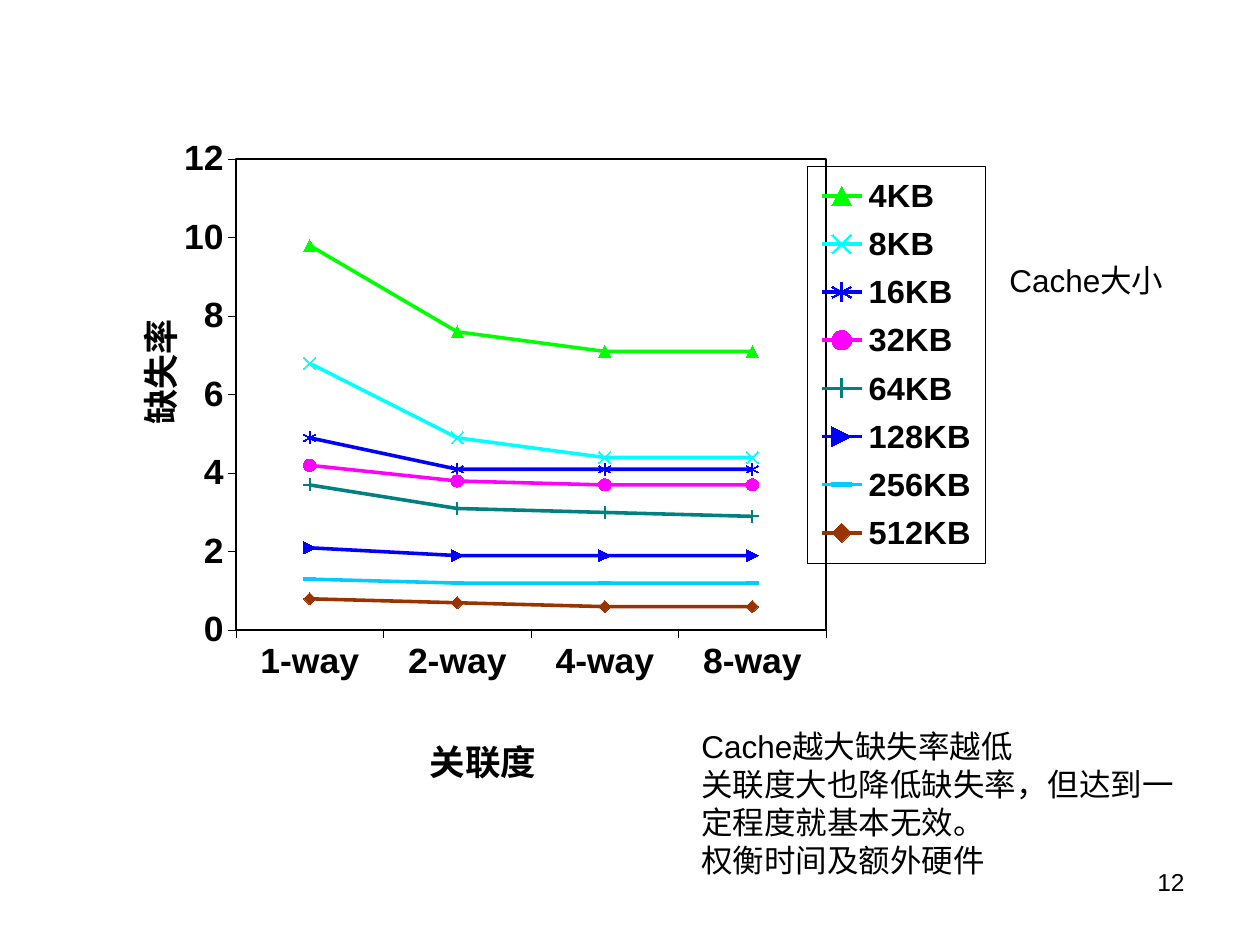
from dataclasses import dataclass

from lxml.etree import SubElement
from pptx import Presentation
from pptx.chart.data import CategoryChartData as ChartData
from pptx.dml.color import RGBColor as RGB
from pptx.enum.chart import XL_CHART_TYPE as Kind
from pptx.enum.chart import XL_LEGEND_POSITION as Side
from pptx.enum.chart import XL_MARKER_STYLE as Mark
from pptx.enum.chart import XL_TICK_MARK as Tick
from pptx.enum.text import MSO_AUTO_SIZE as Fit
from pptx.enum.text import PP_ALIGN as Align
from pptx.oxml import parse_xml
from pptx.oxml.ns import nsdecls, qn
from pptx.util import Emu, Pt

PIXEL = 914400 // 126


@dataclass(frozen=True)
class Theme:
    """Colours, type sizes and line widths."""
    font: str = "Arial"
    ink: str = "000000"
    body: float = 18
    page: float = 14
    axis: float = 20.3
    key: float = 18.6
    hair: float = 0.26
    frame: float = 1
    curve: float = 2.05


def px(*vals):
    """Turn pixels into EMU."""
    return [Emu(val * PIXEL) for val in vals]


def place(node, before, **spots):
    """Give a chart part a manual layout, after the named child."""
    for old in node.findall(qn("c:layout")):
        node.remove(old)
    layout = parse_xml(f"<c:layout {nsdecls('c')}/>")
    manual = SubElement(layout, qn("c:manualLayout"))
    for tag, val in spots.items():
        SubElement(manual, qn(f"c:{tag}")).set("val", str(val))
    prior = node.find(qn(before)) if before else None
    node.insert(0 if prior is None else node.index(prior) + 1, layout)


def outline(color, width):
    """Make unfilled shape properties with a solid outline."""
    return parse_xml(
        f'<c:spPr {nsdecls("c", "a")}><a:noFill/><a:ln w="{Pt(width)}">'
        f'<a:solidFill><a:srgbClr val="{color}"/></a:solidFill></a:ln></c:spPr>')


class Deck:
    """Holds the theme and the current slide."""

    def __init__(self, theme, wide, high):
        self.theme = theme
        self.file = Presentation()
        self.file.slide_width, self.file.slide_height = px(wide, high)
        self.slide = self.file.slides.add_slide(self.file.slide_layouts[6])

    def style(self, font, size, bold=False):
        """Apply the theme font and ink."""
        font.name, font.size, font.bold = self.theme.font, Pt(size), bold
        font.color.rgb = RGB.from_string(self.theme.ink)

    def text(self, box, lines, size, align=Align.LEFT, fit=Fit.NONE):
        """Add a wrapped text box with one paragraph a line."""
        frame = self.slide.shapes.add_textbox(*px(*box)).text_frame
        frame.word_wrap, frame.auto_size = True, fit
        for num, line in enumerate(lines):
            para = frame.add_paragraph() if num else frame.paragraphs[0]
            para.alignment = align
            run = para.add_run()
            run.text = line
            self.style(run.font, size)

    def axis(self, axis, title, spot, turn=0):
        """Format one axis and its placed title."""
        look = self.theme
        axis.has_major_gridlines = False
        axis.major_tick_mark, axis.minor_tick_mark = Tick.OUTSIDE, Tick.NONE
        axis.format.line.color.rgb = RGB.from_string(look.ink)
        axis.format.line.width = Pt(look.hair)
        self.style(axis.tick_labels.font, look.axis, True)
        frame = axis.axis_title.text_frame
        run = frame.paragraphs[0].add_run()
        run.text = title
        self.style(run.font, look.axis, True)
        body = axis.axis_title.element.find(".//" + qn("a:bodyPr"))
        body.set("rot", str(turn * 60000))
        body.set("vert", "horz")
        place(axis.axis_title.element, "c:tx", xMode="edge", yMode="edge",
              x=spot[0], y=spot[1])

    def curve(self, plot, color, mark):
        """Colour one series and its markers."""
        tint = RGB.from_string(color)
        plot.smooth = False
        plot.format.line.color.rgb = tint
        plot.format.line.width = Pt(self.theme.curve)
        plot.marker.style, plot.marker.size = mark, 7
        look = plot.marker.format
        look.line.color.rgb = tint
        if mark in (Mark.TRIANGLE, Mark.CIRCLE, Mark.DIAMOND):
            look.fill.solid()
            look.fill.fore_color.rgb = tint
        else:
            look.fill.background()

    def legend(self, chart, spot):
        """Add a framed legend at a fixed spot."""
        chart.has_legend = True
        chart.legend.position = Side.RIGHT
        chart.legend.include_in_layout = False
        self.style(chart.legend.font, self.theme.key, True)
        node = chart.element.find(".//" + qn("c:legend"))
        place(node, "c:legendPos", xMode="edge", yMode="edge", **spot)
        node.find(qn("c:overlay")).addnext(
            outline(self.theme.ink, self.theme.hair))

    def lines(self, box, cats, rows):
        """Add the line chart."""
        data = ChartData()
        data.categories = cats
        for name, vals, _, _ in rows:
            data.add_series(name, vals)
        chart = self.slide.shapes.add_chart(
            Kind.LINE_MARKERS, *px(*box), data).chart
        chart.has_title = False
        self.style(chart.font, self.theme.axis, True)
        chart.plots[0].vary_by_categories = False
        for plot, (_, _, color, mark) in zip(chart.plots[0].series, rows):
            self.curve(plot, color, mark)
        rate = chart.value_axis
        rate.minimum_scale, rate.maximum_scale, rate.major_unit = 0, 12, 2
        self.axis(chart.category_axis, "关联度", (0.36, 0.91))
        self.axis(rate, "缺失率", (0.04, 0.3), -90)
        self.legend(chart, dict(x=0.77, y=0.08, w=0.19, h=0.59))
        area = chart.element.find(".//" + qn("c:plotArea"))
        place(area, None, layoutTarget="inner", xMode="edge", yMode="edge",
              x=0.16, y=0.07, w=0.63, h=0.7)
        area.append(outline(self.theme.ink, self.theme.frame))


WAYS = ["1-way", "2-way", "4-way", "8-way"]
SIZES = [
    ("4KB", (9.8, 7.6, 7.1, 7.1), "00FF00", Mark.TRIANGLE),
    ("8KB", (6.8, 4.9, 4.4, 4.4), "00FFFF", Mark.X),
    ("16KB", (4.9, 4.1, 4.1, 4.1), "0000FF", Mark.STAR),
    ("32KB", (4.2, 3.8, 3.7, 3.7), "FF00FF", Mark.CIRCLE),
    ("64KB", (3.7, 3.1, 3, 2.9), "008080", Mark.PLUS),
    ("128KB", (2.1, 1.9, 1.9, 1.9), "0000FF", Mark.DOT),
    ("256KB", (1.3, 1.2, 1.2, 1.2), "00CCFF", Mark.DASH),
    ("512KB", (0.8, 0.7, 0.6, 0.6), "993300", Mark.DIAMOND),
]
NOTES = ["Cache越大缺失率越低",
         "关联度大也降低缺失率，但达到一定程度就基本无效。",
         "权衡时间及额外硬件"]


def main():
    """Build and save the slide."""
    theme = Theme()
    deck = Deck(theme, 1260, 945)
    deck.text((903, 861, 294, 66), ["12"], theme.page, Align.RIGHT)
    deck.lines((86, 112, 937, 684), WAYS, SIZES)
    deck.text((997, 255, 198, 50), ["Cache大小"], theme.body,
              fit=Fit.SHAPE_TO_FIT_TEXT)
    deck.text((689, 721, 507, 165), NOTES, theme.body,
              fit=Fit.SHAPE_TO_FIT_TEXT)
    deck.file.save("out.pptx")


main()
